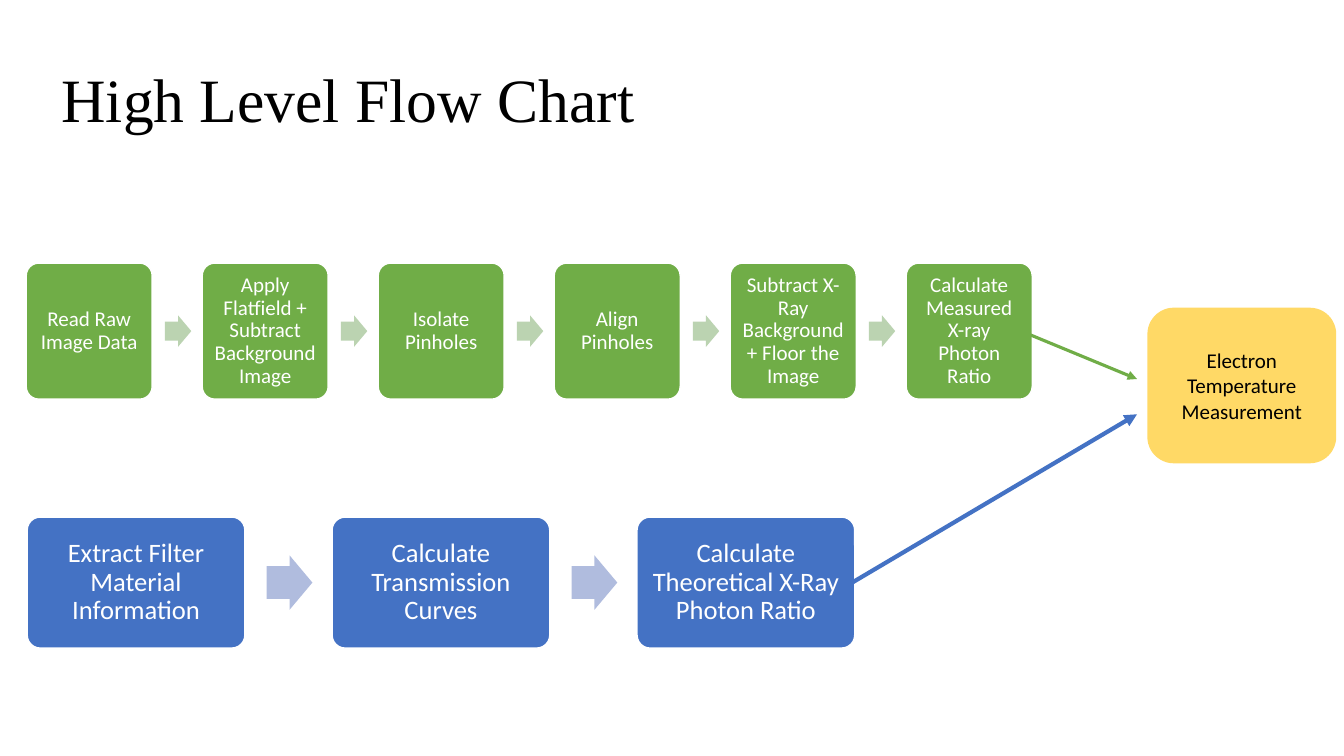
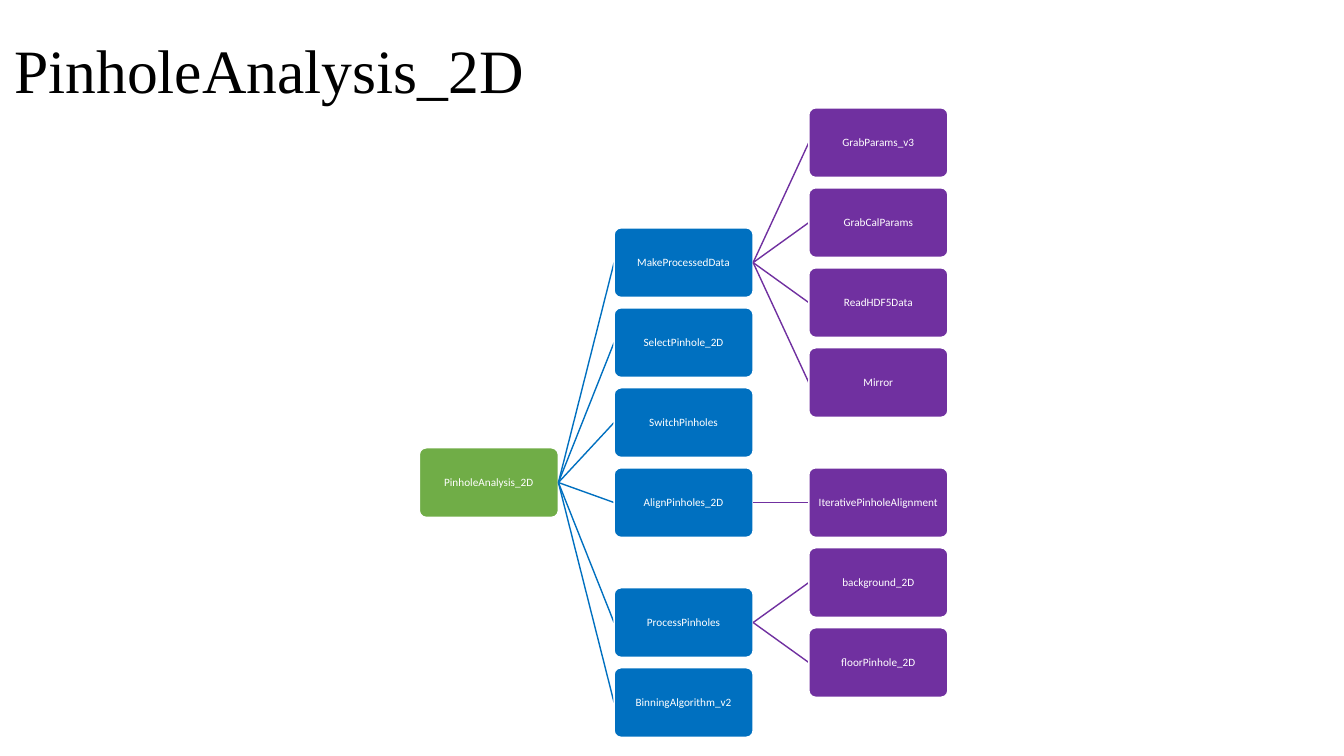
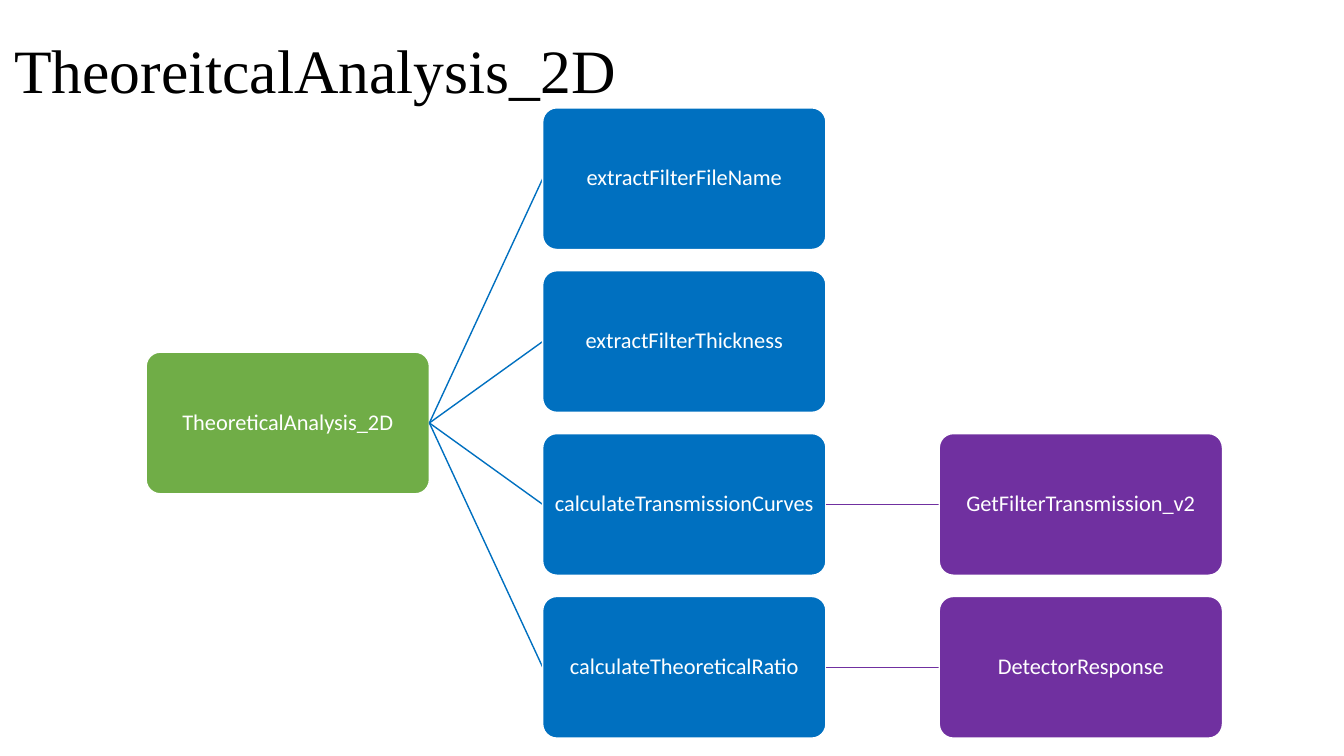
from lxml.etree import SubElement
from pptx import Presentation
from pptx.dml.color import RGBColor
from pptx.enum.shapes import MSO_CONNECTOR, MSO_SHAPE
from pptx.enum.text import MSO_ANCHOR, MSO_AUTO_SIZE, PP_ALIGN
from pptx.oxml.ns import qn
from pptx.util import Pt

PX = 9144  # 100 px to the inch

BLACK = RGBColor(0x00, 0x00, 0x00)
WHITE = RGBColor(0xFF, 0xFF, 0xFF)
GREEN = RGBColor(0x70, 0xAD, 0x47)
PALE_GREEN = RGBColor(0xBB, 0xD3, 0xB1)
BLUE = RGBColor(0x44, 0x72, 0xC4)
PALE_BLUE = RGBColor(0xB0, 0xBC, 0xDE)
YELLOW = RGBColor(0xFF, 0xD9, 0x66)
DEEP_BLUE = RGBColor(0x00, 0x70, 0xC0)
PURPLE = RGBColor(0x70, 0x30, 0xA0)

TITLE_FONT = {"name": "Times New Roman", "size": Pt(44)}
TITLE_FRAME = {"vertical_anchor": MSO_ANCHOR.MIDDLE, "word_wrap": True,
               "auto_size": MSO_AUTO_SIZE.NONE}
TITLE_PARAGRAPH = {"alignment": PP_ALIGN.LEFT, "line_spacing": 0.9}


def add_block(slide, preset, place, fill, edge=None, text="", size=15, color=WHITE,
              inset=6, spacing=0.9, adjustments=(0.1,)):
    """Add a filled preset shape at place (left, top, width, height in px)."""
    block = slide.shapes.add_shape(preset, *(round(length * PX) for length in place))
    block.shadow.inherit = False
    for index, value in enumerate(adjustments):
        block.adjustments[index] = value
    block.fill.solid()
    block.fill.fore_color.rgb = fill
    if edge is None:
        block.line.fill.background()
    else:
        block.line.color.rgb = edge
        block.line.width = Pt(1)
    if text:
        frame = block.text_frame
        margin = inset * PX
        for name, value in {"margin_left": margin, "margin_top": margin,
                            "margin_right": margin, "margin_bottom": margin,
                            "word_wrap": True,
                            "vertical_anchor": MSO_ANCHOR.MIDDLE}.items():
            setattr(frame, name, value)
        paragraph = frame.paragraphs[0]
        paragraph.text = text
        paragraph.alignment = PP_ALIGN.CENTER
        paragraph.line_spacing = spacing
        for name, value in {"name": "Calibri", "size": Pt(size)}.items():
            setattr(paragraph.font, name, value)
        paragraph.font.color.rgb = color


def add_line(slide, ends, color, width=1, arrow=False):
    """Join ends (x1, y1, x2, y2 in px) with a straight connector."""
    connector = slide.shapes.add_connector(
        MSO_CONNECTOR.STRAIGHT, *(round(end * PX) for end in ends))
    connector.line.color.rgb = color
    connector.line.width = Pt(width)
    if arrow:
        SubElement(connector.line._get_or_add_ln(), qn("a:tailEnd"), type="triangle")
    SubElement(connector._element.spPr, qn("a:effectLst"))


prs = Presentation()
prs.slide_width = 12192000
prs.slide_height = 750 * PX

# Titled slides
slides = []
for heading, place in [
    ("High Level Flow Chart", (51, 29, 1150, 145)),
    ("PinholeAnalysis_2D", (4, 0, 1330, 145)),
    ("TheoreitcalAnalysis_2D", (4, 0, 1330, 145)),
]:
    slide = prs.slides.add_slide(prs.slide_layouts[5])
    title = slide.shapes.title
    title.left, title.top, title.width, title.height = (length * PX for length in place)
    title.text = heading
    title_paragraph = title.text_frame.paragraphs[0]
    for target, formats in [(title.text_frame, TITLE_FRAME),
                            (title_paragraph, TITLE_PARAGRAPH),
                            (title_paragraph.font, TITLE_FONT)]:
        for name, value in formats.items():
            setattr(target, name, value)
    title_paragraph.font.color.rgb = BLACK
    slides.append(slide)
overview, pinhole_slide, theory_slide = slides

# Flow chart: two rows of steps that meet in one result
measured_steps = [
    "Read Raw Image Data",
    "Apply Flatfield + Subtract Background Image",
    "Isolate Pinholes",
    "Align Pinholes",
    "Subtract X-Ray Background + Floor the Image",
    "Calculate Measured X-ray Photon Ratio",
]
theoretical_steps = [
    "Extract Filter Material Information",
    "Calculate Transmission Curves",
    "Calculate Theoretical X-Ray Photon Ratio",
]
for steps, first, last, top, width, height, fill, arrow_fill, size, inset in [
    (measured_steps, 26, 899, 261, 125, 135, GREEN, PALE_GREEN, 15, 6),
    (theoretical_steps, 27, 632, 513, 216, 130, BLUE, PALE_BLUE, 19, 8),
]:
    pitch = (last - first) / (len(steps) - 1)
    arrow_width, arrow_height = 0.21 * width, 0.25 * width
    for index, step in enumerate(steps):
        left = first + index * pitch
        add_block(overview, MSO_SHAPE.ROUNDED_RECTANGLE, (left, top, width, height),
                  fill, WHITE, step, size, inset=inset)
        if index < len(steps) - 1:
            add_block(overview, MSO_SHAPE.RIGHT_ARROW,
                      (left + 1.1 * width, top + (height - arrow_height) / 2,
                       arrow_width, arrow_height),
                      arrow_fill, adjustments=(0.6, 0.5))

add_line(overview, (842, 580, 1128, 411), BLUE, 3, arrow=True)
add_line(overview, (1012, 328, 1128, 376), GREEN, 2.25, arrow=True)
add_block(overview, MSO_SHAPE.ROUNDED_RECTANGLE, (1139, 306, 186, 153), YELLOW, YELLOW,
          "Electron Temperature Measurement", color=BLACK, inset=10, spacing=1.0,
          adjustments=())

# Call trees: each function with its row, then the functions it calls
pinhole_calls = [
    ("MakeProcessedData", 1.5, [("GrabParams_v3", 0), ("GrabCalParams", 1),
                                ("ReadHDF5Data", 2), ("Mirror", 3)]),
    ("SelectPinhole_2D", 2.5, []),
    ("SwitchPinholes", 3.5, []),
    ("AlignPinholes_2D", 4.5, [("IterativePinholeAlignment", 4.5)]),
    ("ProcessPinholes", 6, [("background_2D", 5.5), ("floorPinhole_2D", 6.5)]),
    ("BinningAlgorithm_v2", 7, []),
]
theory_calls = [
    ("extractFilterFileName", 0, []),
    ("extractFilterThickness", 1, []),
    ("calculateTransmissionCurves", 2, [("GetFilterTransmission_v2", 2)]),
    ("calculateTheoreticalRatio", 3, [("DetectorResponse", 3)]),
]
TREE_TOP = 107
LEVEL_COLORS = [GREEN, DEEP_BLUE, PURPLE]

for slide, root, calls, tree_left, width, size in [
    (pinhole_slide, "PinholeAnalysis_2D", pinhole_calls, 416, 138, 8),
    (theory_slide, "TheoreticalAnalysis_2D", theory_calls, 145, 281, 16),
]:
    height = width / 2
    row_pitch = 1.15 * height
    level_pitch = 1.4 * width
    root_row = (calls[0][1] + calls[-1][1]) / 2

    # Level, function, own row, row of the caller
    nodes = [(0, root, root_row, None)]
    for function, row, callees in calls:
        nodes.append((1, function, row, root_row))
        nodes += [(2, callee, callee_row, row) for callee, callee_row in callees]

    for level, function, row, caller_row in nodes:
        left = tree_left + level * level_pitch
        top = TREE_TOP + row * row_pitch
        if caller_row is not None:
            caller_middle = TREE_TOP + caller_row * row_pitch + height / 2
            add_line(slide, (left - level_pitch + width, caller_middle,
                             left, top + height / 2), LEVEL_COLORS[level])
        add_block(slide, MSO_SHAPE.ROUNDED_RECTANGLE, (left, top, width, height),
                  LEVEL_COLORS[level], WHITE, function, size, inset=1)

prs.save("out.pptx")
